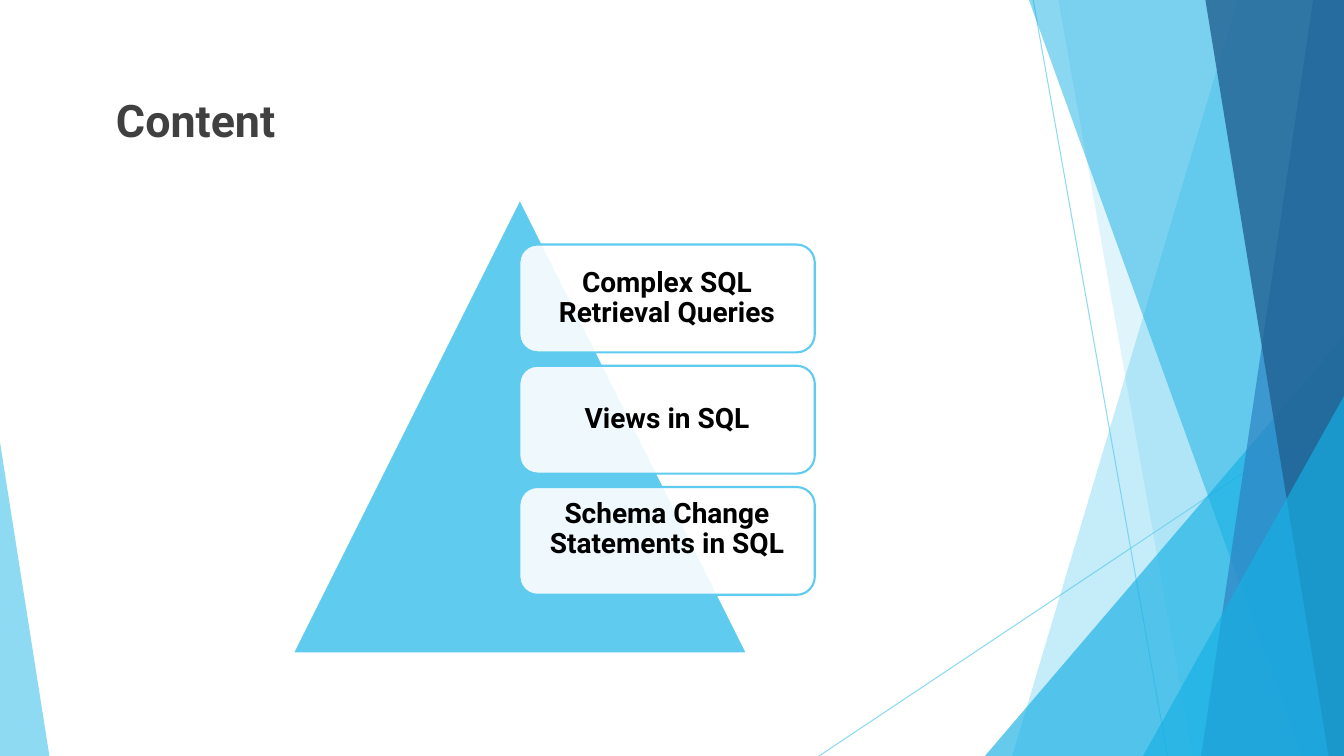
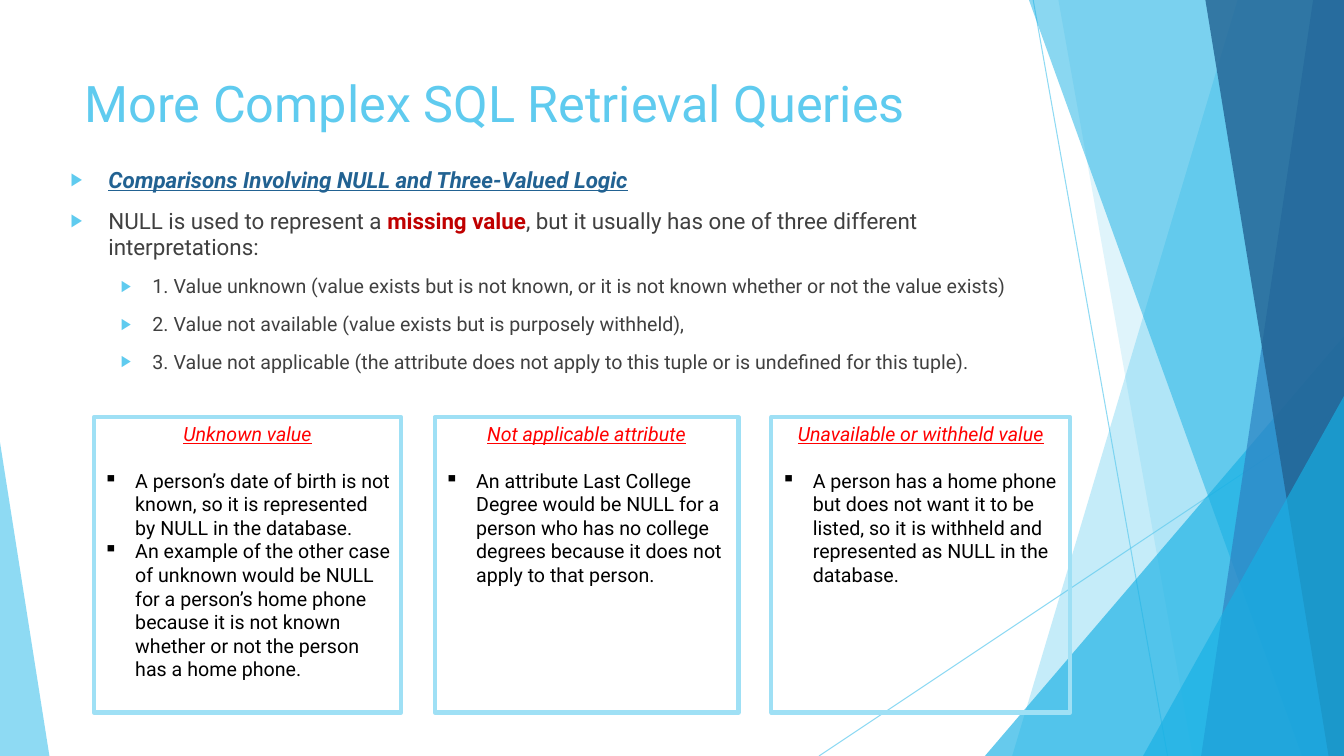
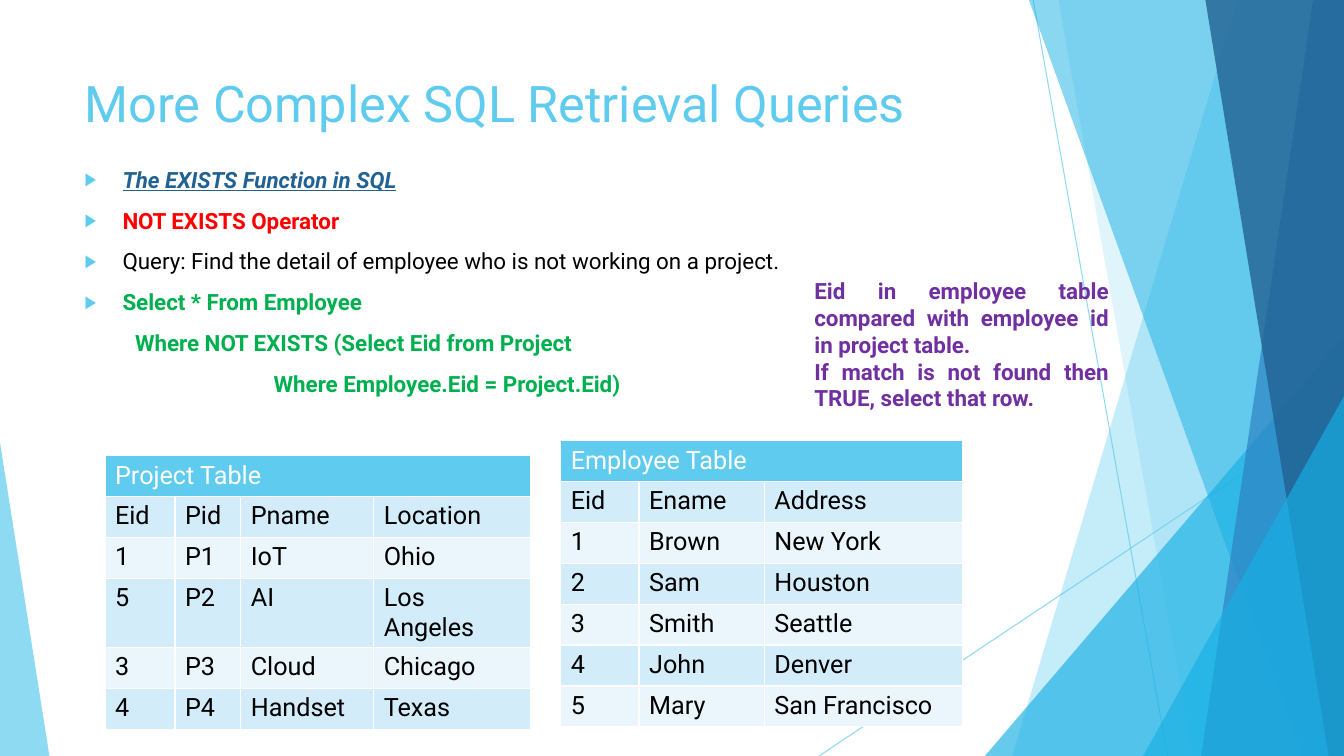
"""Build three slides on complex SQL retrieval queries."""
from lxml.etree import SubElement
from pptx import Presentation
from pptx.dml.color import RGBColor
from pptx.enum.shapes import MSO_CONNECTOR, MSO_SHAPE
from pptx.enum.text import MSO_ANCHOR as Anchor, MSO_AUTO_SIZE as AutoSize, PP_ALIGN as Align
from pptx.oxml.ns import qn
from pptx.util import Pt

FONT = "Roboto"
SKY, CYAN, BLUE, NAVY = "5FCBEF", "17B0E4", "2E83C3", "226292"
WHITE, BLACK, GREY, RED = "FFFFFF", "000000", "404040", "FF0000"
CRIMSON, GREEN, PURPLE, PALE_SKY = "C00000", "00B050", "7030A0", "9FE0F5"
BANDS = ["EAF6FC", "D2ECF9"]
WIDTH, HEIGHT = 960, 540


def paint(fill, colour, shape=None, opacity=100):
    """Make a fill solid, and see-through when a shape and an opacity are given."""
    fill.solid()
    fill.fore_color.rgb = RGBColor.from_string(colour)
    if shape is not None:
        tone = shape.element.find(".//" + qn("a:srgbClr"))
        SubElement(tone, qn("a:alpha")).set("val", str(opacity * 1000))


def write(frame, text, colour, size, bold=False, accent=False, align=Align.LEFT,
          bullet=None, left=0, hang=0, before=0):
    """Add a paragraph; an accent is italic and underlined."""
    para = frame.add_paragraph() if frame.text else frame.paragraphs[0]
    props = para._p.get_or_add_pPr()
    props.set("marL", str(Pt(left)))
    props.set("indent", str(Pt(-hang)))
    if bullet == "▶":
        SubElement(SubElement(props, qn("a:buClr")), qn("a:srgbClr")).set("val", SKY)
        SubElement(props, qn("a:buSzPct")).set("val", "80000")
    if bullet:
        SubElement(props, qn("a:buChar")).set("char", bullet)
    else:
        SubElement(props, qn("a:buNone"))
    para.alignment = align
    para.space_before = Pt(before)
    para.font.name = FONT
    para.font.size = Pt(size)
    para.font.bold = bold
    para.font.italic = accent
    para.font.underline = accent
    paint(para.font.fill, colour)
    para.add_run().text = text
    return para


deck = Presentation()
deck.slide_width, deck.slide_height = Pt(WIDTH), Pt(HEIGHT)
pages = [deck.slides.add_slide(deck.slide_layouts[number]) for number in (5, 1, 1)]
content, nulls, exists = pages

backdrop = []
for x1, y1, x2, y2 in [(738, 0, 834, 540), (960, 290, 585, 540)]:
    line = content.shapes.add_connector(MSO_CONNECTOR.STRAIGHT, Pt(x1), Pt(y1), Pt(x2), Pt(y2))
    line.line.width = Pt(0.75)
    paint(line.line.fill, SKY, line, 70)
    SubElement(line.element.spPr, qn("a:effectLst"))
    backdrop.append(line)

for kind, place, colour, opacity in [
    ("band", (884, 723), SKY, 36),
    ("band", (756, 852), SKY, 20),
    ("peak", (703.5, 240, 256.5, 1), CYAN, 66),
    ("band", (735, 930), CYAN, 50),
    ("band", (938, 858), BLUE, 70),
    ("band", (861, 949), NAVY, 80),
    ("peak", (816.5, 283, 143.5, 1), CYAN, 66),
    ("peak", (0, 316, 35.3, 0), SKY, 70),
]:
    if kind == "band":
        top, bottom = place
        builder = content.shapes.build_freeform(Pt(top), 0)
        builder.add_line_segments(
            [(Pt(WIDTH), 0), (Pt(WIDTH), Pt(HEIGHT)), (Pt(bottom), Pt(HEIGHT))], close=True)
        facet = builder.convert_to_shape()
    else:
        left, top, width, apex = place
        facet = content.shapes.add_shape(
            MSO_SHAPE.ISOSCELES_TRIANGLE, Pt(left), Pt(top), Pt(width), Pt(HEIGHT - top))
        facet.adjustments[0] = apex
    facet.shadow.inherit = False
    facet.line.fill.background()
    paint(facet.fill, colour, facet, opacity)
    backdrop.append(facet)

for order, facet in enumerate(backdrop, start=2):
    deck.slide_master.shapes.element.insert(order, facet.element)

query_title = "More Complex SQL Retrieval Queries"
for page, text, colour, size, bold, left, top in [
    (content, "Content", GREY, 32, True, 75.6, 62.6),
    (nulls, query_title, SKY, 36, False, 53.3, 48.2),
    (exists, query_title, SKY, 36, False, 53.3, 48.2),
]:
    title = page.shapes.title
    title.left, title.top, title.width, title.height = Pt(left), Pt(top), Pt(677), Pt(60)
    title.text_frame.auto_size = AutoSize.NONE
    title.text_frame.vertical_anchor = Anchor.TOP
    write(title.text_frame, text, colour, size, bold)

pyramid = content.shapes.add_shape(
    MSO_SHAPE.ISOSCELES_TRIANGLE, Pt(209), Pt(142), Pt(324.7), Pt(324.7))
pyramid.shadow.inherit = False
paint(pyramid.fill, SKY)
paint(pyramid.line.fill, WHITE)
pyramid.line.width = Pt(1.5)

for row, (topic, anchor) in enumerate([
    ("Complex SQL Retrieval Queries", Anchor.MIDDLE),
    ("Views in SQL", Anchor.MIDDLE),
    ("Schema Change Statements in SQL", Anchor.TOP),
]):
    card = content.shapes.add_shape(
        MSO_SHAPE.ROUNDED_RECTANGLE, Pt(371), Pt(174.7 + row * 86.6), Pt(211), Pt(77))
    card.shadow.inherit = False
    paint(card.fill, WHITE, card, 90)
    paint(card.line.fill, SKY)
    card.line.width = Pt(1.5)
    frame = card.text_frame
    frame.vertical_anchor = anchor
    frame.margin_left = frame.margin_right = Pt(9.4)
    frame.margin_top = frame.margin_bottom = Pt(5)
    write(frame, topic, BLACK, 20, True, align=Align.CENTER).line_spacing = 0.9

bodies = []
for page, left, width in [(nulls, 43.2, 721.4), (exists, 53.3, 710.6)]:
    body = page.placeholders[1]
    body.left, body.top, body.width, body.height = Pt(left), Pt(114.8), Pt(width), Pt(367)
    body.text_frame.auto_size = AutoSize.NONE
    bodies.append(body.text_frame)
null_list, exists_list = bodies

point = dict(bullet="▶", left=27, hang=27, before=10)
write(null_list, "Comparisons Involving NULL and Three-Valued Logic", NAVY, 16, True, True, **point)
para = write(null_list, "NULL is used to represent a ", GREY, 16, **point)
span = para.add_run()
span.text = "missing value"
span.font.bold = True
paint(span.font.fill, CRIMSON)
para.add_run().text = ", but it usually has one of three different interpretations:"
for text in [
    "1. Value unknown (value exists but is not known, or it is not known whether or not the value exists)",
    "2. Value not available (value exists but is purposely withheld),",
    "3. Value not applicable (the attribute does not apply to this tuple or is undefined for this tuple).",
]:
    para = write(null_list, text, GREY, 14, bullet="▶", left=58.5, hang=22.5, before=10)
    para.level = 1

for left, width, heading, examples in [
    (67, 219.6, "Unknown value", [
        "A person’s date of birth is not known, so it is represented by NULL in the database.",
        "An example of the other case of unknown would be NULL for a person’s home phone "
        "because it is not known whether or not the person has a home phone."]),
    (310.5, 217, "Not applicable attribute", [
        "An attribute Last College Degree would be NULL for a person who has no college "
        "degrees because it does not apply to that person."]),
    (551, 213.5, "Unavailable or withheld value", [
        "A person has a home phone but does not want it to be listed, so it is withheld "
        "and represented as NULL in the database."]),
]:
    box = nulls.shapes.add_shape(MSO_SHAPE.RECTANGLE, Pt(left), Pt(298), Pt(width), Pt(211))
    box.shadow.inherit = False
    box.fill.background()
    paint(box.line.fill, PALE_SKY)
    box.line.width = Pt(3)
    box.text_frame.vertical_anchor = Anchor.TOP
    para = write(box.text_frame, heading, RED, 14, accent=True, align=Align.CENTER)
    para.space_after = Pt(16.5)
    for example in examples:
        write(box.text_frame, example, BLACK, 14, bullet="▪", left=22.5, hang=22.5)

write(exists_list, "The EXISTS Function in SQL", NAVY, 16, True, True, **point)
write(exists_list, "NOT EXISTS Operator", RED, 16, True, **point)
write(exists_list, "Query: Find the detail of employee who is not working on a project.",
      BLACK, 16, **point)
write(exists_list, "Select * From Employee", GREEN, 16, True, **point)
write(exists_list, "Where NOT EXISTS (Select Eid from Project", GREEN, 16, True, left=36, before=10)
write(exists_list, "Where Employee.Eid = Project.Eid)", GREEN, 16, True, left=135, before=10)

for left, top, widths, heading, rows in [
    (400.5, 314.8, [56, 89.5, 141.5], "Employee Table", [
        ["Eid", "Ename", "Address"],
        ["1", "Brown", "New York"],
        ["2", "Sam", "Houston"],
        ["3", "Smith", "Seattle"],
        ["4", "John", "Denver"],
        ["5", "Mary", "San Francisco"]]),
    (75, 325.5, [50, 47, 95, 112], "Project Table", [
        ["Eid", "Pid", "Pname", "Location"],
        ["1", "P1", "IoT", "Ohio"],
        ["5", "P2", "AI", "Los Angeles"],
        ["3", "P3", "Cloud", "Chicago"],
        ["4", "P4", "Handset", "Texas"]]),
]:
    count = len(rows) + 1
    table = exists.shapes.add_table(
        count, len(widths), Pt(left), Pt(top), Pt(sum(widths)), Pt(29.2 * count)).table
    for column, width in zip(table.columns, widths):
        column.width = Pt(width)
    header = table.cell(0, 0)
    header.merge(table.cell(0, len(widths) - 1))
    paint(header.fill, SKY)
    write(header.text_frame, heading, WHITE, 18)
    for row, values in enumerate(rows, start=1):
        for column, value in enumerate(values):
            cell = table.cell(row, column)
            paint(cell.fill, BANDS[row % 2])
            write(cell.text_frame, value, BLACK, 18)

note = exists.shapes.add_textbox(Pt(574.6), Pt(194.4), Pt(224.6), Pt(104.4)).text_frame
note.word_wrap = True
for text in [
    "Eid in employee table compared with employee id in project table.",
    "If match is not found then TRUE, select that row.",
]:
    write(note, text, PURPLE, 16, True, align=Align.JUSTIFY)

deck.save("out.pptx")
